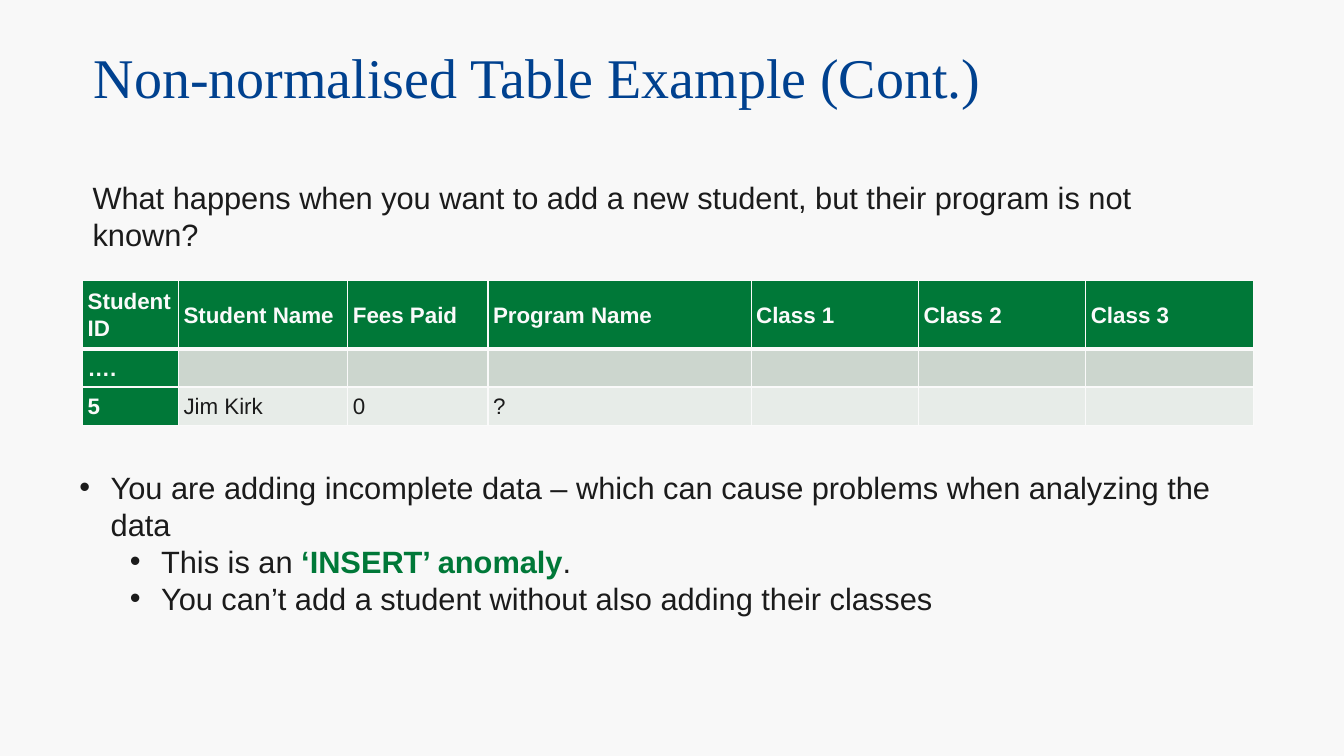
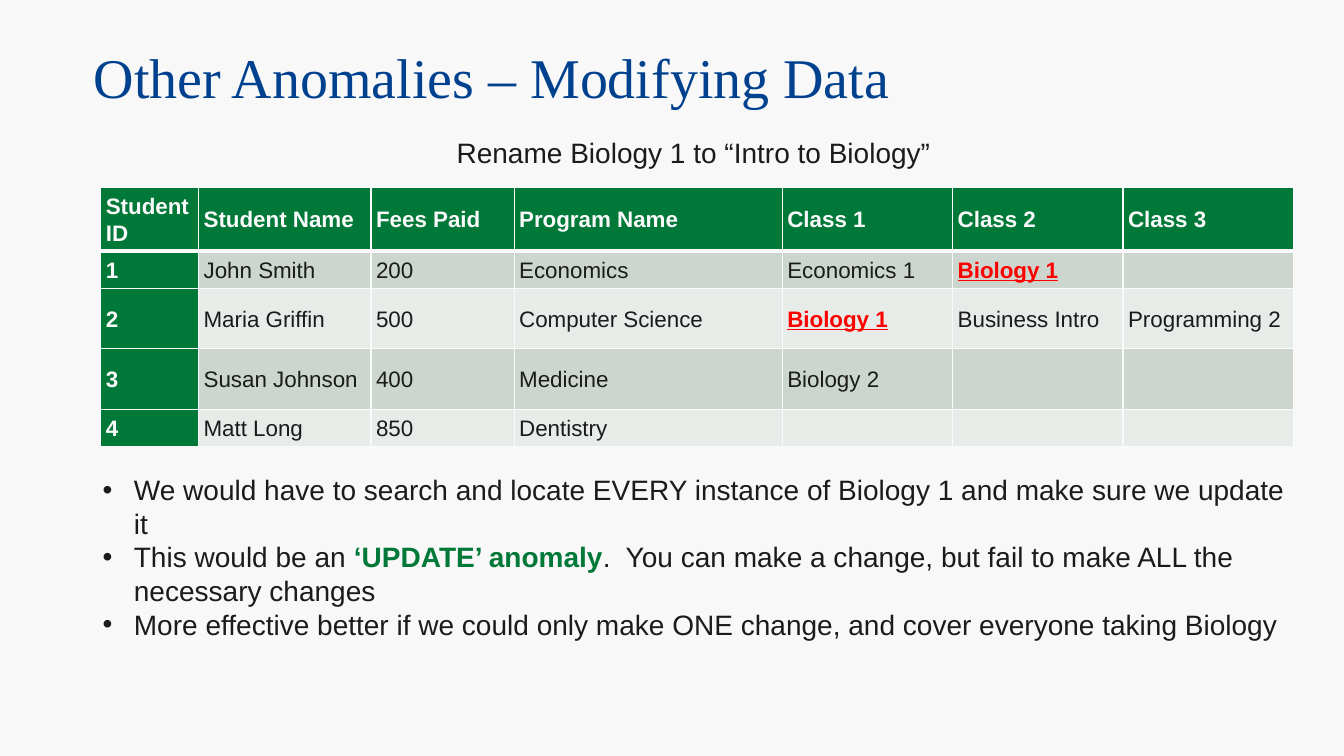
"""Build two slides on table anomalies in a non-normalised student table."""
import dataclasses
import typing

import lxml.etree
import pptx
import pptx.dml.color
import pptx.enum.text
import pptx.oxml.ns
import pptx.presentation
import pptx.slide
import pptx.table
import pptx.text.text
import pptx.util

Inches = pptx.util.Inches
Pt = pptx.util.Pt
RGBColor = pptx.dml.color.RGBColor
qn = pptx.oxml.ns.qn

BACKGROUND = RGBColor(0xF8, 0xF8, 0xF8)
BLUE = RGBColor(0x00, 0x41, 0x8F)
INK = RGBColor(0x1B, 0x1B, 0x1B)
GREEN = RGBColor(0x00, 0x78, 0x38)
WHITE = RGBColor(0xFA, 0xFA, 0xFA)
RED = RGBColor(0xFF, 0x00, 0x00)
BANDS = (RGBColor(0xE7, 0xEC, 0xE8), RGBColor(0xCC, 0xD6, 0xCE))

TITLE_FONT = {"name": "Times New Roman", "size": Pt(40), "bold": False}
CELL_FONT = {"name": "Arial", "size": Pt(16)}
TITLE_PLACE = {
    "left": Inches(0.83),
    "top": Inches(0.48),
    "width": Inches(11.88),
    "height": Inches(0.63),
}
CELL_FORMAT = {
    "margin_left": Inches(0.05),
    "margin_right": Inches(0.05),
    "margin_top": Inches(0.05),
    "margin_bottom": Inches(0.05),
    "vertical_anchor": pptx.enum.text.MSO_ANCHOR.MIDDLE,
}
CELL_PARAGRAPH = {"line_spacing": 1.07, "space_after": Pt(18)}
HEADER = (
    "Student ID", "Student Name", "Fees Paid", "Program Name",
    "Class 1", "Class 2", "Class 3",
)
BULLET_HANG = 0.31
LEVEL_STEP = 0.5


class Box(typing.NamedTuple):
    """Place of an object in inches."""

    left: float
    top: float
    width: float
    height: float


class Run(typing.NamedTuple):
    """Piece of text, emphasised or plain."""

    text: str
    strong: bool = False


@dataclasses.dataclass(frozen=True)
class Line:
    """Paragraph of a text box; a level makes it a bullet."""

    runs: tuple[Run, ...]
    level: int | None = None


@dataclasses.dataclass(frozen=True)
class TextBlock:
    """Text box with its lines."""

    box: Box
    size: int
    lines: tuple[Line, ...]
    alignment: pptx.enum.text.PP_ALIGN = pptx.enum.text.PP_ALIGN.LEFT


@dataclasses.dataclass(frozen=True)
class StudentTable:
    """Table of students below the shared header."""

    left: float
    top: float
    columns: tuple[float, ...]
    heights: tuple[float, ...]
    rows: tuple[tuple[str, ...], ...]
    highlight: str | None = None


@dataclasses.dataclass(frozen=True)
class Page:
    """Content of one slide."""

    title: str
    table: StudentTable
    texts: tuple[TextBlock, ...]


PAGES = (
    Page(
        "Non-normalised Table Example (Cont.)",
        StudentTable(
            0.82, 2.78,
            (0.95, 1.68, 1.39, 2.61, 1.66, 1.66, 1.66),
            (0.68, 0.38, 0.38),
            (("….",), ("5", "Jim Kirk", "0", "?")),
        ),
        (
            TextBlock(Box(0.82, 1.72, 10.9, 1.21), 22, (
                Line((Run("What happens when you want to add a new student, "
                          "but their program is not known?"),)),
            )),
            TextBlock(Box(0.69, 4.6, 11.73, 1.58), 22, (
                Line((Run("You are adding incomplete data – which can cause "
                          "problems when analyzing the data"),), 0),
                Line((Run("This is an "), Run("‘INSERT’ anomaly", True), Run(".")), 1),
                Line((Run("You can’t add a student without also adding their classes"),), 1),
            )),
        ),
    ),
    Page(
        "Other Anomalies – Modifying Data",
        StudentTable(
            1, 1.86,
            (0.97, 1.71, 1.42, 2.66, 1.69, 1.69, 1.69),
            (0.6, 0.34, 0.6, 0.6, 0.34),
            (
                ("1", "John Smith", "200", "Economics", "Economics 1", "Biology 1"),
                ("2", "Maria Griffin", "500", "Computer Science", "Biology 1",
                 "Business Intro", "Programming 2"),
                ("3", "Susan Johnson", "400", "Medicine", "Biology 2"),
                ("4", "Matt Long", "850", "Dentistry"),
            ),
            "Biology 1",
        ),
        (
            TextBlock(Box(0.88, 1.3, 12, 0.44), 20, (
                Line((Run("Rename Biology 1 to “Intro to Biology”"),)),
            ), pptx.enum.text.PP_ALIGN.CENTER),
            TextBlock(Box(0.92, 4.64, 12, 2.12), 20, (
                Line((Run("We would have to search and locate EVERY instance of "
                          "Biology 1 and make sure we update it"),), 0),
                Line((Run("This would be an "), Run("‘UPDATE’ anomaly", True),
                      Run(".  You can make a change, but fail to make ALL the "
                          "necessary changes")), 0),
                Line((Run("More effective better if we could only make ONE change, "
                          "and cover everyone taking Biology"),), 0),
            )),
        ),
    ),
)


def apply_format(target: typing.Any, values: dict[str, typing.Any]) -> None:
    """Set every named attribute on the target."""
    for name, value in values.items():
        setattr(target, name, value)


def add_run(
    paragraph: pptx.text.text._Paragraph,
    text: str,
    color: RGBColor,
    values: dict[str, typing.Any],
) -> None:
    """Append a formatted run to the paragraph."""
    run = paragraph.add_run()
    run.text = text
    apply_format(run.font, values)
    run.font.color.rgb = color


def add_bullet(paragraph: pptx.text.text._Paragraph, level: int) -> None:
    """Give the paragraph a hanging bullet at the level."""
    paragraph.level = level
    properties = paragraph._p.get_or_add_pPr()
    properties.set("marL", str(Inches(BULLET_HANG + LEVEL_STEP * level)))
    properties.set("indent", str(-Inches(BULLET_HANG)))
    lxml.etree.SubElement(properties, qn("a:buFont"), typeface="Arial")
    lxml.etree.SubElement(properties, qn("a:buChar"), char="•")


def add_title(slide: pptx.slide.Slide, text: str) -> None:
    """Place and format the title placeholder."""
    title = slide.shapes.title
    apply_format(title, TITLE_PLACE)
    frame = title.text_frame
    apply_format(frame, {
        "auto_size": pptx.enum.text.MSO_AUTO_SIZE.NONE,
        "vertical_anchor": pptx.enum.text.MSO_ANCHOR.MIDDLE,
        "word_wrap": True,
    })
    paragraph = frame.paragraphs[0]
    apply_format(paragraph, {
        "alignment": pptx.enum.text.PP_ALIGN.LEFT,
        "line_spacing": 0.9,
    })
    add_run(paragraph, text, BLUE, TITLE_FONT)


def add_text(slide: pptx.slide.Slide, block: TextBlock) -> None:
    """Draw a text box with its lines."""
    shape = slide.shapes.add_textbox(*map(Inches, block.box))
    frame = shape.text_frame
    apply_format(frame, {
        "word_wrap": True,
        "auto_size": pptx.enum.text.MSO_AUTO_SIZE.SHAPE_TO_FIT_TEXT,
    })
    for index, line in enumerate(block.lines):
        paragraph = frame.add_paragraph() if index else frame.paragraphs[0]
        paragraph.alignment = block.alignment
        if line.level is not None:
            add_bullet(paragraph, line.level)
        for run in line.runs:
            add_run(paragraph, run.text, GREEN if run.strong else INK,
                    {"name": "Arial", "size": Pt(block.size), "bold": run.strong})


def add_borders(cell: pptx.table._Cell, top: float, bottom: float) -> None:
    """Draw the four borders of a cell, widths in points."""
    properties = cell._tc.get_or_add_tcPr()
    sides = {"a:lnL": 1, "a:lnR": 1, "a:lnT": top, "a:lnB": bottom}
    for index, (side, width) in enumerate(sides.items()):
        border = lxml.etree.Element(qn(side), w=str(Pt(width)))
        fill = lxml.etree.SubElement(border, qn("a:solidFill"))
        lxml.etree.SubElement(fill, qn("a:srgbClr"), val=str(WHITE))
        properties.insert(index, border)


def fill_cell(
    cell: pptx.table._Cell, text: str, row: int, column: int, highlighted: bool
) -> None:
    """Write and colour one cell according to its row and column."""
    heading = row == 0 or column == 0
    apply_format(cell, CELL_FORMAT)
    cell.fill.solid()
    cell.fill.fore_color.rgb = GREEN if heading else BANDS[row % 2]
    add_borders(cell, 3 if row == 1 else 1, 3 if row == 0 else 1)
    paragraph = cell.text_frame.paragraphs[0]
    apply_format(paragraph, CELL_PARAGRAPH)
    if text:
        color = WHITE if heading else RED if highlighted else INK
        add_run(paragraph, text, color, {
            **CELL_FONT,
            "bold": heading or highlighted,
            "underline": highlighted,
        })
    else:
        lxml.etree.SubElement(paragraph._p, qn("a:endParaRPr"), sz="1600")


def add_student_table(slide: pptx.slide.Slide, content: StudentTable) -> None:
    """Draw the student table."""
    box = Box(content.left, content.top, sum(content.columns), sum(content.heights))
    table = slide.shapes.add_table(
        len(content.heights), len(HEADER), *map(Inches, box)
    ).table
    for column, width in zip(table.columns, content.columns):
        column.width = Inches(width)
    for row, values in enumerate((HEADER, *content.rows)):
        table.rows[row].height = Inches(content.heights[row])
        for column in range(len(HEADER)):
            text = values[column] if column < len(values) else ""
            fill_cell(table.cell(row, column), text, row, column,
                      text == content.highlight)


def add_page(presentation: pptx.presentation.Presentation, page: Page) -> None:
    """Add one slide with its title, table and texts."""
    slide = presentation.slides.add_slide(presentation.slide_layouts[5])
    add_title(slide, page.title)
    add_student_table(slide, page.table)
    for block in page.texts:
        add_text(slide, block)


def main() -> None:
    """Build and save the presentation."""
    presentation = pptx.Presentation()
    apply_format(presentation, {
        "slide_width": Inches(13.33),
        "slide_height": Inches(7.5),
    })
    background = presentation.slide_master.background.fill
    background.solid()
    background.fore_color.rgb = BACKGROUND
    for page in PAGES:
        add_page(presentation, page)
    presentation.save("out.pptx")


if __name__ == "__main__":
    main()
